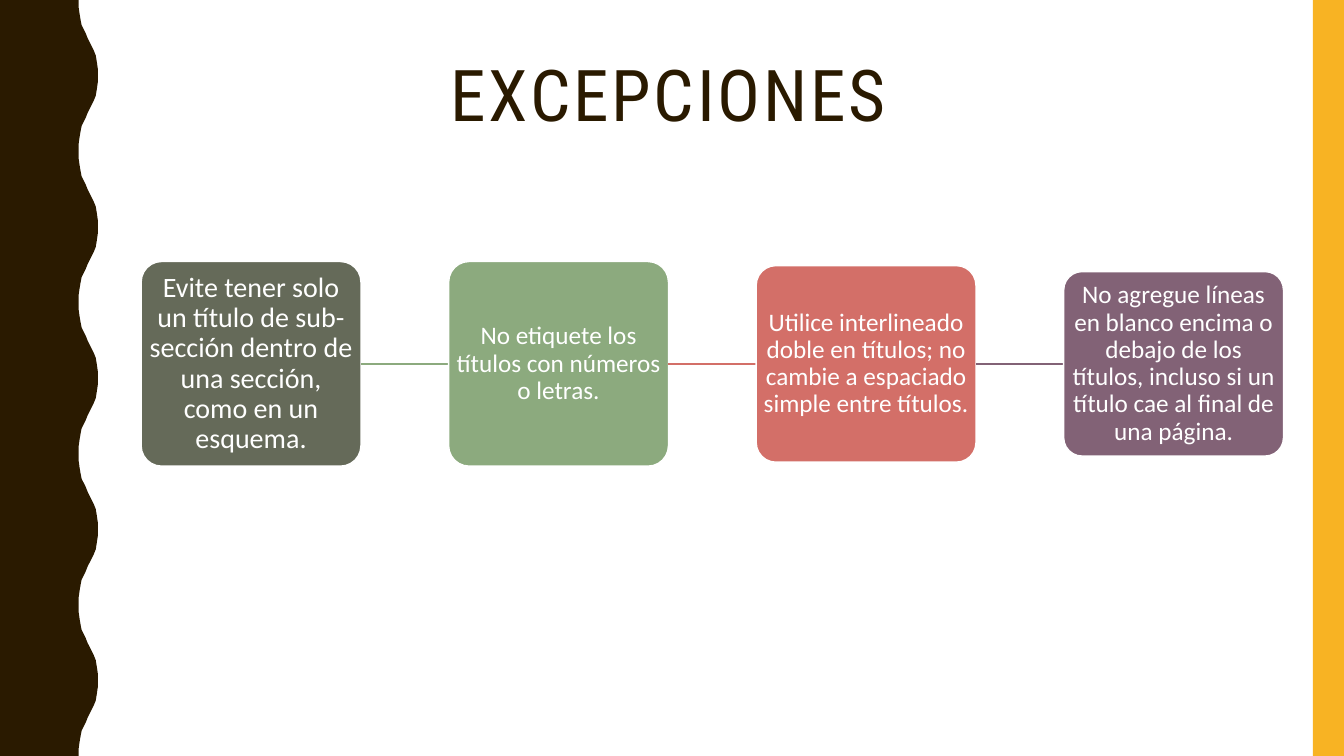
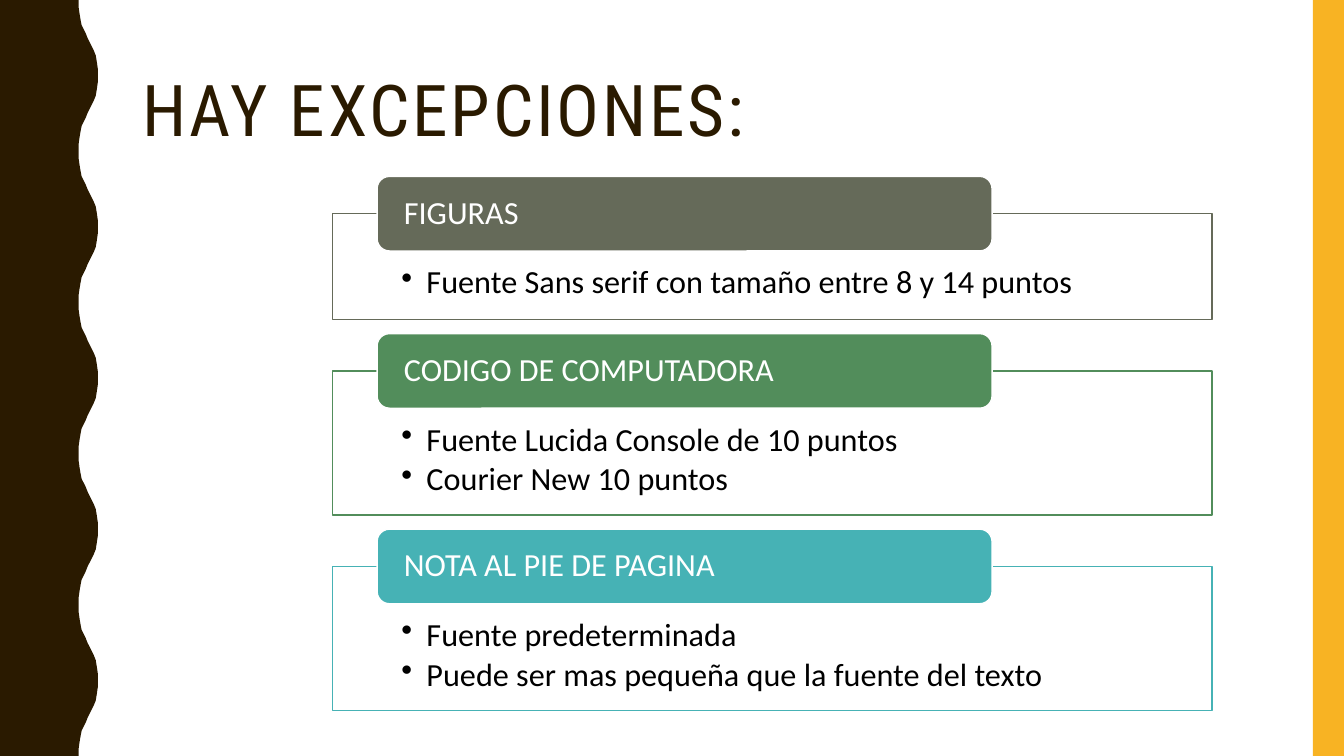
from lxml.etree import SubElement
from pptx import Presentation
from pptx.dml.color import RGBColor
from pptx.enum.shapes import MSO_CONNECTOR, MSO_SHAPE
from pptx.enum.text import MSO_ANCHOR, MSO_AUTO_SIZE, PP_ALIGN
from pptx.oxml.ns import qn
from pptx.util import Inches, Pt

DARK = RGBColor(0x2A, 0x1A, 0x00)
GOLD = RGBColor(0xF8, 0xB3, 0x23)
OLIVE = RGBColor(0x65, 0x6A, 0x59)
SAGE = RGBColor(0x8C, 0xAA, 0x7E)
CORAL = RGBColor(0xD3, 0x6F, 0x68)
PLUM = RGBColor(0x82, 0x62, 0x76)
GREEN = RGBColor(0x52, 0x8D, 0x5B)
TEAL = RGBColor(0x46, 0xB2, 0xB5)
WHITE = RGBColor(0xFF, 0xFF, 0xFF)
BLACK = RGBColor(0x00, 0x00, 0x00)

WIDE, HIGH = 13.33, 7.5
HEAD, BODY = "Roboto Condensed", "Calibri"
WAVE = [(0.78, 0), (0.78, 0.07), (0.79, 0.14), (0.8, 0.2), (0.81, 0.25),
        (0.83, 0.29), (0.85, 0.33), (0.87, 0.38), (0.89, 0.42), (0.91, 0.46),
        (0.93, 0.5), (0.95, 0.55), (0.96, 0.61), (0.97, 0.68), (0.97, 0.75)]
CARDS = [
    ("Evite tener solo un título de sub-sección dentro de una sección, como en un esquema.",
     OLIVE, 2.03, 20),
    ("No etiquete los títulos con números o letras.", SAGE, 2.03, 18),
    ("Utilice interlineado doble en títulos; no cambie a espaciado simple entre títulos.",
     CORAL, 1.95, 18),
    ("No agregue líneas en blanco encima o debajo de los títulos, "
     "incluso si un título cae al final de una página.", PLUM, 1.83, 18),
]
GROUPS = [
    ("FIGURAS", OLIVE, 1.05, ["Fuente Sans serif con tamaño entre 8 y 14 puntos"]),
    ("CODIGO DE COMPUTADORA", GREEN, 1.43,
     ["Fuente Lucida Console de 10 puntos", "Courier New 10 puntos"]),
    ("NOTA AL PIE DE PAGINA", TEAL, 1.43,
     ["Fuente predeterminada", "Puede ser mas pequeña que la fuente del texto"]),
]


def put(shape, *lines, size=18, font=BODY, color=WHITE, align=PP_ALIGN.LEFT,
        anchor=MSO_ANCHOR.MIDDLE, inset=(0, 0, 0, 0), track=0, bullet=False):
    """Write formatted lines into a shape."""
    frame = shape.text_frame
    frame.word_wrap = True
    frame.auto_size = MSO_AUTO_SIZE.NONE
    frame.vertical_anchor = anchor
    (frame.margin_left, frame.margin_top,
     frame.margin_right, frame.margin_bottom) = map(Inches, inset)
    for i, line in enumerate(lines):
        para = frame.add_paragraph() if i else frame.paragraphs[0]
        para.alignment = align
        para.line_spacing = 0.9
        run = para.add_run()
        run.text = line
        run.font.size = Pt(size)
        run.font.name = font
        run.font.color.rgb = color
        if track:
            run._r.get_or_add_rPr().set("spc", str(track * 100))
        if bullet:
            para.space_after = Pt(3.5)
            props = para._p.get_or_add_pPr()
            props.set("marL", str(Inches(0.25)))
            props.set("indent", str(-Inches(0.25)))
            SubElement(props, qn("a:buChar")).set("char", "•")


def paint(shape, fill, line=None):
    """Give a shape a flat fill and an optional thin line."""
    shape.shadow.inherit = False
    shape.fill.solid()
    shape.fill.fore_color.rgb = fill
    if line is None:
        shape.line.fill.background()
    else:
        shape.line.color.rgb = line
        shape.line.width = Pt(1)
    return shape


def box(slide, kind, x, y, w, h, fill, line=None):
    """Add a painted preset shape."""
    shape = slide.shapes.add_shape(kind, *map(Inches, (x, y, w, h)))
    return paint(shape, fill, line)


def link(slide, x, y, end, color):
    """Draw a thin level line."""
    line = slide.shapes.add_connector(
        MSO_CONNECTOR.STRAIGHT, *map(Inches, (x, y, end, y)))
    line.line.color.rgb = color
    line.line.width = Pt(1)
    SubElement(line.element.spPr, qn("a:effectLst"))


def wave(slide):
    """Build the dark band with its wavy edge."""
    cycle = WAVE + [(x, 1.5 - y) for x, y in WAVE[-2::-1]]
    edge = [(x, y + 1.5 * n) for n in range(5) for x, y in cycle]
    pen = slide.shapes.build_freeform(0, 0)
    pen.add_line_segments([(Inches(x), Inches(y)) for x, y in edge + [(0, HIGH)]])
    return paint(pen.convert_to_shape(), DARK)


def dress(deck, slide):
    """Move the side bands onto the slide master."""
    band = box(slide, MSO_SHAPE.RECTANGLE, 13.02, 0, 0.31, HIGH, GOLD)
    tree = deck.slide_master.shapes.element
    for i, shape in enumerate((band, wave(slide))):
        shape.element.nvSpPr.cNvPr.set("id", str(90 + i))
        tree.insert(2, shape.element)


def title(slide, text, x, y, w, h, align=PP_ALIGN.LEFT):
    """Place and write the slide title."""
    head = slide.shapes.title
    head.left, head.top, head.width, head.height = map(Inches, (x, y, w, h))
    put(head, text, size=51, font=HEAD, color=DARK, align=align,
        anchor=MSO_ANCHOR.TOP, inset=(0.1, 0.05, 0.1, 0.05), track=2)


def chain(slide):
    """Draw the linked row of cards."""
    left, wide, step, mid = 1.4, 2.18, 3.05, 3.61
    for i, (text, color, high, size) in enumerate(CARDS):
        x = left + i * step
        if i:
            link(slide, x - step + wide, mid, x, color)
        card = box(slide, MSO_SHAPE.ROUNDED_RECTANGLE, x, mid - high / 2,
                   wide, high, color, WHITE)
        card.adjustments[0] = 0.1
        put(card, text, size=size, align=PP_ALIGN.CENTER, inset=(0.01,) * 4)


def stack(slide):
    """Draw the framed lists with their labels."""
    top = 2.12
    for name, color, high, items in GROUPS:
        frame = box(slide, MSO_SHAPE.RECTANGLE, 3.3, top, 8.72, high, WHITE, color)
        put(frame, *items, size=23, color=BLACK, anchor=MSO_ANCHOR.TOP,
            inset=(0.68, 0.52, 0.68, 0.18), bullet=True)
        label = box(slide, MSO_SHAPE.ROUNDED_RECTANGLE, 3.74, top - 0.37,
                    6.1, 0.74, color, WHITE)
        put(label, name, size=23, inset=(0.23, 0, 0.23, 0))
        top += high + 0.51


def main():
    """Build and save the deck."""
    deck = Presentation()
    deck.slide_width, deck.slide_height = Inches(WIDE), Inches(HIGH)
    first, second = (deck.slides.add_slide(deck.slide_layouts[5]) for _ in range(2))
    dress(deck, first)
    title(first, "EXCEPCIONES", 2.82, 0.54, 7.62, 1, PP_ALIGN.CENTER)
    chain(first)
    title(second, "HAY EXCEPCIONES:", 1.31, 0.69, 11.5, 1.45)
    stack(second)
    deck.save("out.pptx")


if __name__ == "__main__":
    main()
